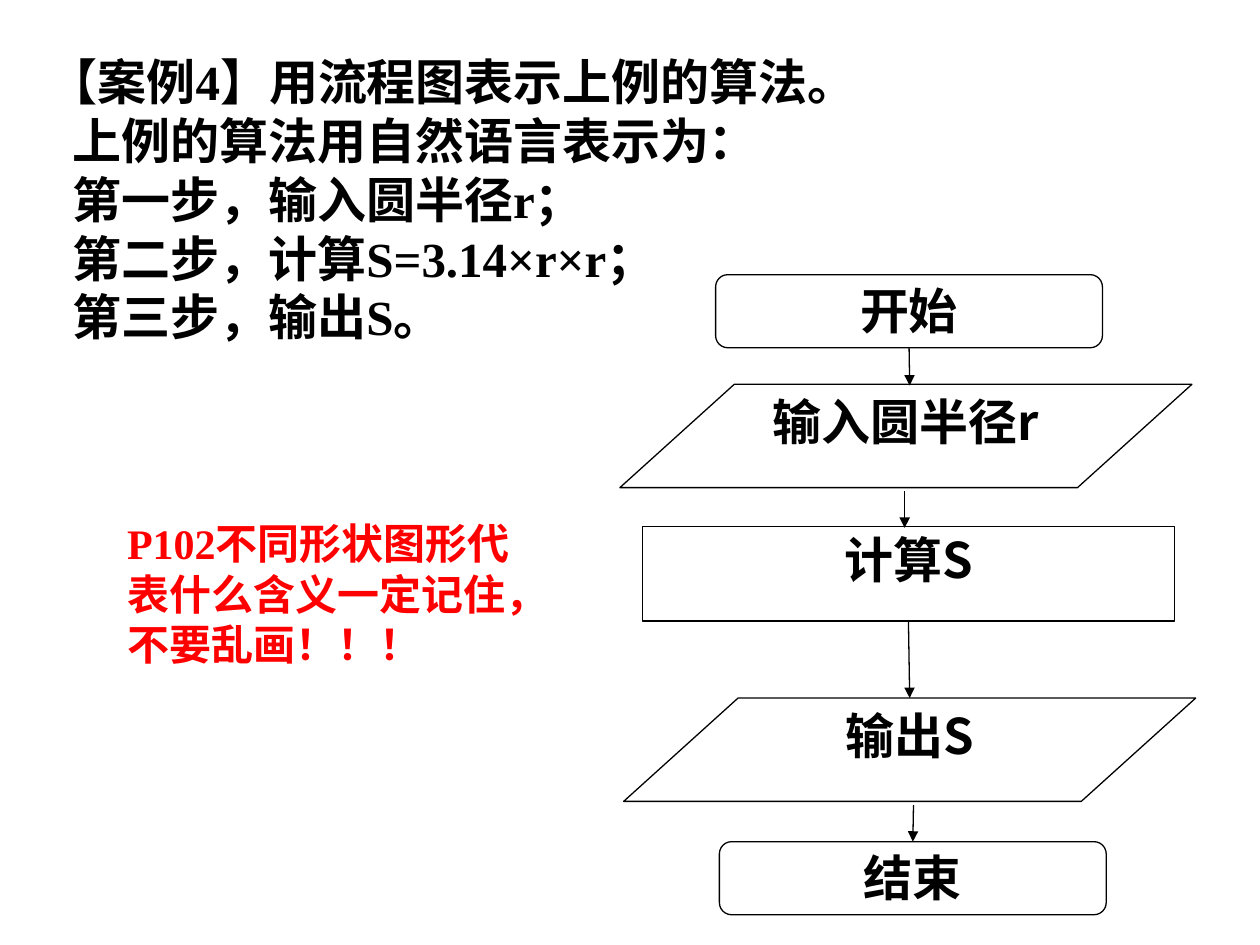
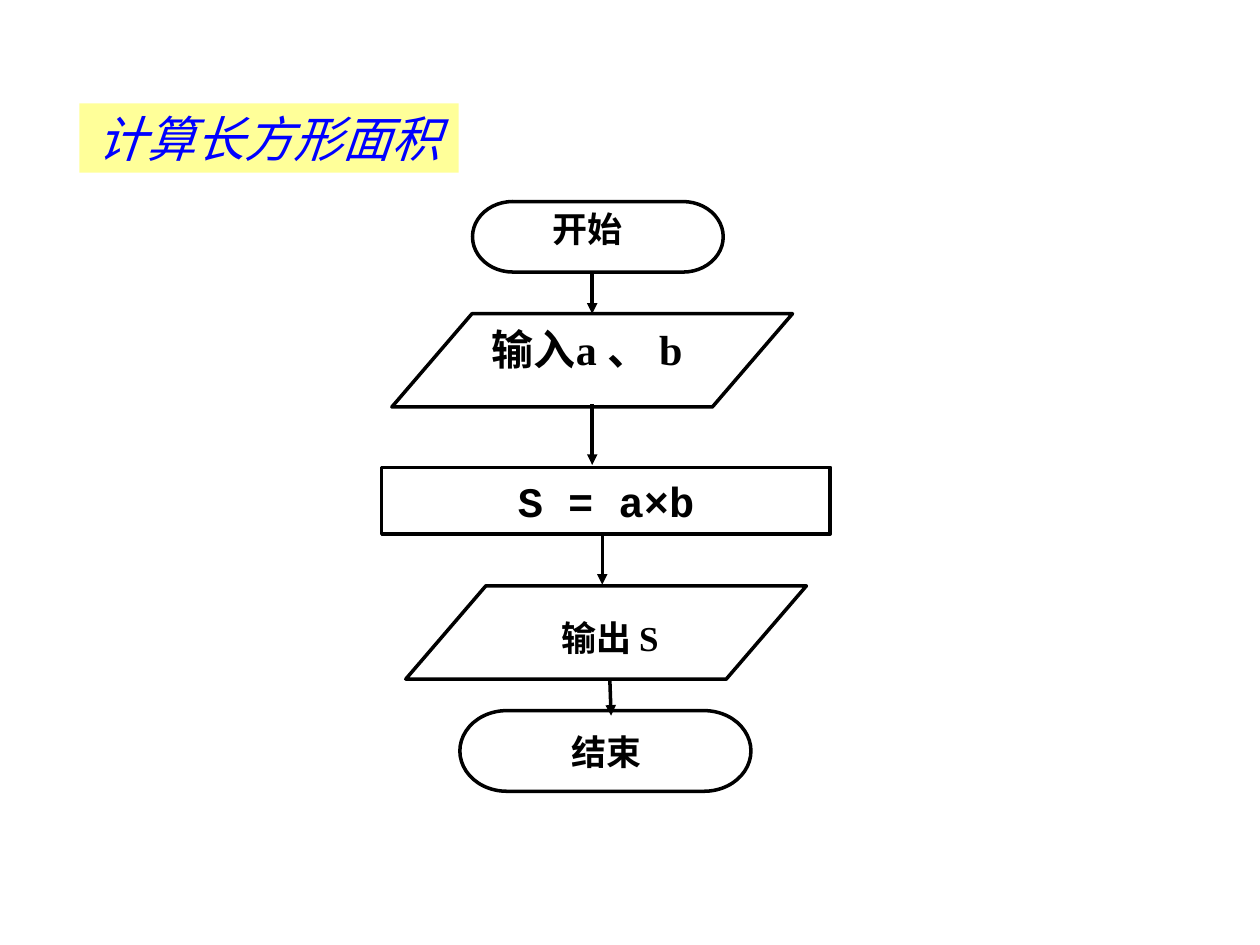
"""Build two slides of flowcharts for simple area calculations."""
import dataclasses

import lxml.etree
import pptx
import pptx.dml.color
import pptx.enum.shapes
import pptx.enum.text
import pptx.oxml.ns
import pptx.util

Inches = pptx.util.Inches
Color = pptx.dml.color.RGBColor.from_string
Shape = pptx.enum.shapes.MSO_SHAPE
Anchor = pptx.enum.text.MSO_ANCHOR
Align = pptx.enum.text.PP_ALIGN
qn = pptx.oxml.ns.qn


@dataclasses.dataclass(frozen=True)
class Theme:
    black: str = "000000"
    white: str = "FFFFFF"
    red: str = "FF0000"
    blue: str = "0000FF"
    yellow: str = "FFFF99"
    large: int = 28
    medium: int = 24
    small: int = 20
    thin: float = 0.75
    thick: float = 2
    serif: str = "Times New Roman"
    sans: str = "Calibri"
    mono: str = "Courier New"
    chinese: str = "Noto Sans CJK SC"


theme = Theme()


def write(shape, lines, size, color=theme.black, align=Align.CENTER, anchor=Anchor.TOP,
          insets=(0.1, 0.05, 0.1, 0.05), italic=False):
    frame = shape.text_frame
    frame.word_wrap = True
    frame.vertical_anchor = anchor
    frame.margin_left, frame.margin_top, frame.margin_right, frame.margin_bottom = map(Inches, insets)
    frame.text = "\n".join("" for line in lines)
    for para, spans in zip(frame.paragraphs, lines):
        para.alignment = align
        for text, typeface in spans:
            span = para.add_run()
            span.text = text
            span.font.size = pptx.util.Pt(size)
            span.font.bold = not italic
            span.font.italic = italic
            span.font.color.rgb = Color(color)
            span.font.name = typeface
            east_asian = lxml.etree.SubElement(span.font._element, qn("a:ea"))
            east_asian.set("typeface", theme.chinese)


def draw_arrow(page, start, end, weight, source=None, target=None):
    arrow = page.shapes.add_connector(
        pptx.enum.shapes.MSO_CONNECTOR.STRAIGHT, *map(Inches, start + end))
    if source is not None:
        arrow.begin_connect(source, 2)
    if target is not None:
        arrow.end_connect(target, 0)
    arrow.line.color.rgb = Color(theme.black)
    arrow.line.width = pptx.util.Pt(weight)
    line = arrow.line._get_or_add_ln()
    lxml.etree.SubElement(line, qn("a:tailEnd")).set("type", "triangle")
    lxml.etree.SubElement(arrow._element.spPr, qn("a:effectLst"))


deck = pptx.Presentation()
deck.slide_width = Inches(10)
deck.slide_height = Inches(7.5)
blank = deck.slide_layouts[6]

circle_page = deck.slides.add_slide(blank)

steps = [
    "【案例4】用流程图表示上例的算法。",
    "上例的算法用自然语言表示为：",
    "第一步，输入圆半径r；",
    "第二步，计算S=3.14×r×r；",
    "第三步，输出S。",
]
box = circle_page.shapes.add_textbox(*map(Inches, (0, 0.36, 7.28, 2.5)))
write(box, [[(step, theme.serif)] for step in steps], theme.large, align=Align.LEFT)
for index, para in enumerate(box.text_frame.paragraphs):
    para._p.get_or_add_pPr().set("marL", str(Inches(0.48 if index else 0.29)))

reminder = circle_page.shapes.add_textbox(*map(Inches, (0.91, 4.06, 3.31, 1.31)))
write(reminder, [[("P102不同形状图形代表什么含义一定记住，不要乱画！！！", theme.serif)]],
      theme.medium, theme.red, Align.LEFT)

terminal_insets = (0.1, 0.02, 0.1, 0.02)
data_insets = (0, 0.06, 0, 0.05)
process_insets = (0, 0.02, 0, 0.02)
circle_nodes = {}
for label, kind, place, insets in [
    ("开始", Shape.FLOWCHART_ALTERNATE_PROCESS, (5.68, 2.18, 3.07, 0.58), terminal_insets),
    ("输入圆半径r", Shape.FLOWCHART_DATA, (4.92, 3.05, 4.54, 0.82), data_insets),
    ("计算S", Shape.RECTANGLE, (5.1, 4.18, 4.22, 0.75), process_insets),
    ("输出S", Shape.FLOWCHART_DATA, (4.95, 5.54, 4.54, 0.82), data_insets),
    ("结束", Shape.FLOWCHART_ALTERNATE_PROCESS, (5.71, 6.68, 3.07, 0.58), terminal_insets),
]:
    node = circle_page.shapes.add_shape(kind, *map(Inches, place))
    node.shadow.inherit = False
    node.fill.solid()
    node.fill.fore_color.rgb = Color(theme.white)
    node.line.color.rgb = Color(theme.black)
    node.line.width = pptx.util.Pt(theme.thin)
    write(node, [[(label, theme.chinese)]], theme.large, insets=insets)
    circle_nodes[label] = node

for start, end, source, target in [
    ((7.22, 2.76), (7.22, 3.06), "开始", None),
    ((7.18, 3.9), (7.18, 4.19), None, None),
    ((7.21, 4.93), (7.22, 5.54), "计算S", None),
    ((7.25, 6.39), (7.25, 6.68), None, "结束"),
]:
    draw_arrow(circle_page, start, end, theme.thin,
               circle_nodes.get(source), circle_nodes.get(target))

rectangle_page = deck.slides.add_slide(blank)

title = rectangle_page.shapes.add_shape(Shape.RECTANGLE, *map(Inches, (0.63, 0.82, 3.01, 0.55)))
title.shadow.inherit = False
title.fill.solid()
title.fill.fore_color.rgb = Color(theme.yellow)
title.line.fill.background()
write(title, [[("计算长方形面积", theme.sans)]], theme.large, theme.blue,
      anchor=Anchor.MIDDLE, italic=True)

for kind, place in [
    (Shape.FLOWCHART_TERMINATOR, (3.75, 1.6, 1.99, 0.56)),
    (Shape.FLOWCHART_DATA, (3.11, 2.49, 3.18, 0.74)),
    (Shape.RECTANGLE, (3.03, 3.71, 3.56, 0.53)),
    (Shape.FLOWCHART_DATA, (3.22, 4.65, 3.18, 0.74)),
    (Shape.FLOWCHART_TERMINATOR, (3.65, 5.64, 2.31, 0.64)),
]:
    node = rectangle_page.shapes.add_shape(kind, *map(Inches, place))
    node.shadow.inherit = False
    node.fill.background()
    node.line.color.rgb = Color(theme.black)
    node.line.width = pptx.util.Pt(theme.thick)
    if kind == Shape.RECTANGLE:
        write(node, [[("S = a×b", theme.mono)]], theme.medium, anchor=Anchor.MIDDLE)

input_spans = [("输入", theme.chinese), ("a ", theme.serif), ("、 ", theme.chinese), ("b", theme.serif)]
for spans, size, place in [
    ([("开始", theme.mono)], theme.small, (4.07, 1.6, 1.19, 0.43)),
    (input_spans, theme.medium, (3.27, 2.52, 2.78, 0.5)),
    ([("输出 ", theme.mono), ("S", theme.serif)], theme.small, (3.64, 4.84, 2.4, 0.43)),
    ([("结束", theme.mono)], theme.small, (4.1, 5.75, 1.43, 0.44)),
]:
    write(rectangle_page.shapes.add_textbox(*map(Inches, place)), [spans], size)

for start, end in [
    ((4.7, 2.16), (4.7, 2.49)),
    ((4.7, 3.21), (4.7, 3.69)),
    ((4.78, 4.23), (4.78, 4.64)),
    ((4.84, 5.39), (4.85, 5.68)),
]:
    draw_arrow(rectangle_page, start, end, theme.thick)

deck.save("out.pptx")
